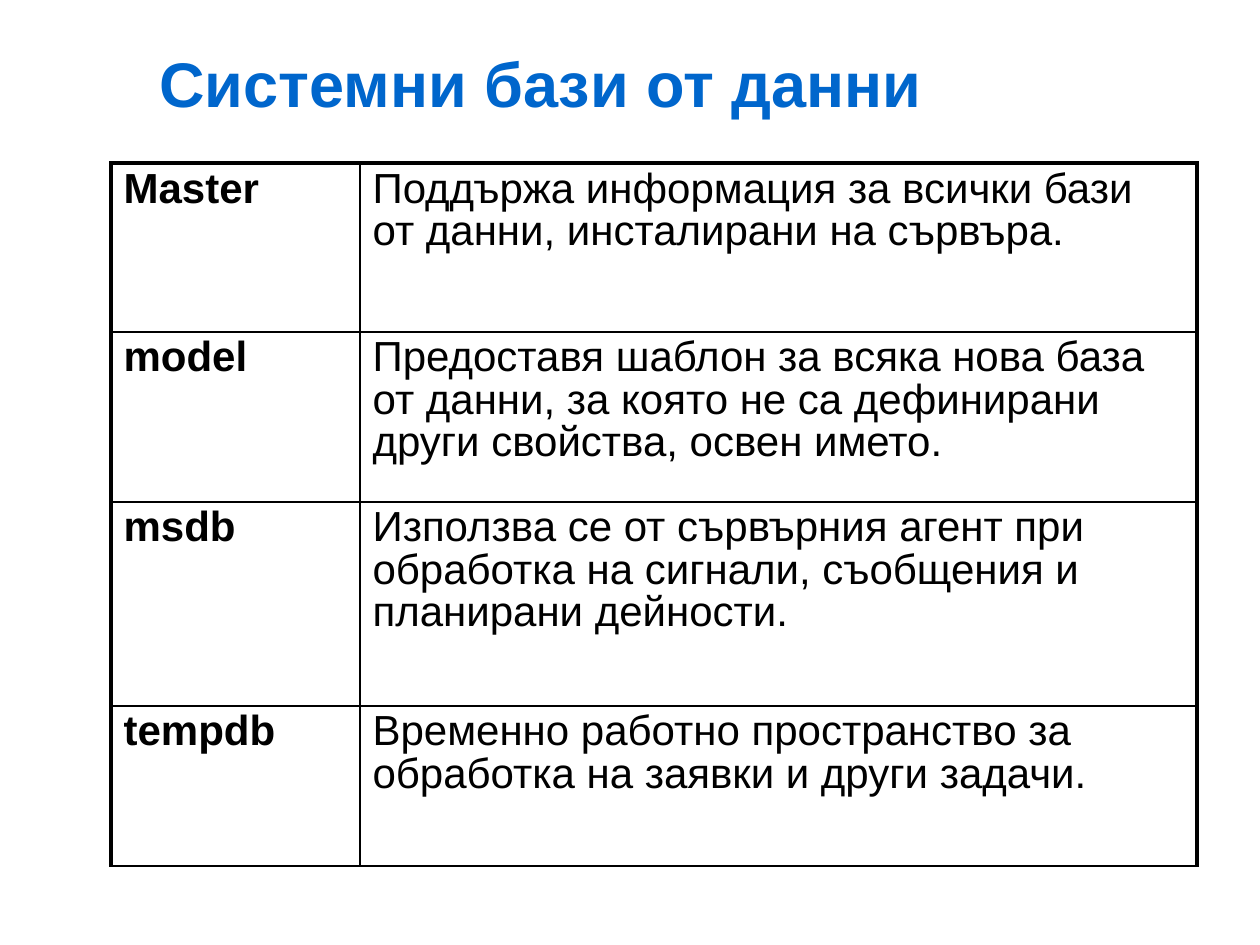
from pptx import Presentation
from pptx.dml.color import RGBColor
from pptx.enum.text import MSO_ANCHOR
from pptx.oxml import parse_xml
from pptx.oxml.ns import nsdecls
from pptx.util import Pt

PIXEL = 914400 // 126
THIN, THICK = Pt(1), Pt(2.25)
BLACK, BLUE = "000000", "0066CC"


def write(frame, text, size=24, color=BLACK, bold=False, spacing=None):
    frame.word_wrap = True
    paragraph = frame.paragraphs[0]
    paragraph.line_spacing = spacing
    run = paragraph.add_run()
    run.text = text
    run.font.name = "Arial"
    run.font.size = Pt(size)
    run.font.bold = bold
    run.font.color.rgb = RGBColor.from_string(color)


def border(cell, side, width):
    line = parse_xml(
        f'<a:{side} {nsdecls("a")} w="{width}"><a:solidFill>'
        f'<a:srgbClr val="{BLACK}"/></a:solidFill></a:{side}>')
    cell_format = cell._tc.get_or_add_tcPr()
    cell_format.append(line)


presentation = Presentation()
presentation.slide_width = 1260 * PIXEL
presentation.slide_height = 945 * PIXEL
slide = presentation.slides.add_slide(presentation.slide_layouts[6])

# Title
title = slide.shapes.add_textbox(147 * PIXEL, 38 * PIXEL, 1050 * PIXEL, 88 * PIXEL)
title.text_frame.vertical_anchor = MSO_ANCHOR.MIDDLE
write(title.text_frame, "Системни бази от данни", size=36, color=BLUE, bold=True)

# Table of system databases
databases = [
    ("Master", "Поддържа информация за всички бази от данни, инсталирани на сървъра."),
    ("model", "Предоставя шаблон за всяка нова база от данни, за която не са "
              "дефинирани други свойства, освен името."),
    ("msdb", "Използва се от сървърния агент при обработка на сигнали, "
             "съобщения и планирани дейности."),
    ("tempdb", "Временно работно пространство за обработка на заявки и други задачи."),
]
column_widths = [249, 837]
row_heights = [169, 170, 204, 160]

table = slide.shapes.add_table(
    len(databases), 2, 111 * PIXEL, 163 * PIXEL,
    sum(column_widths) * PIXEL, sum(row_heights) * PIXEL).table
table.first_row = table.horz_banding = False
for column, width in zip(table.columns, column_widths):
    column.width = width * PIXEL

for row_index, (row, height) in enumerate(zip(table.rows, row_heights)):
    row.height = height * PIXEL
    for column_index, text in enumerate(databases[row_index]):
        cell = table.cell(row_index, column_index)
        is_name = column_index == 0
        write(cell.text_frame, text, bold=is_name, spacing=0.9)

        # Thick outer edges, thin inner lines; borders come before the fill
        border(cell, "lnL", THICK if is_name else THIN)
        border(cell, "lnR", THIN if is_name else THICK)
        border(cell, "lnT", THICK if row_index == 0 else THIN)
        border(cell, "lnB", THIN)
        cell.fill.background()

presentation.save("out.pptx")
